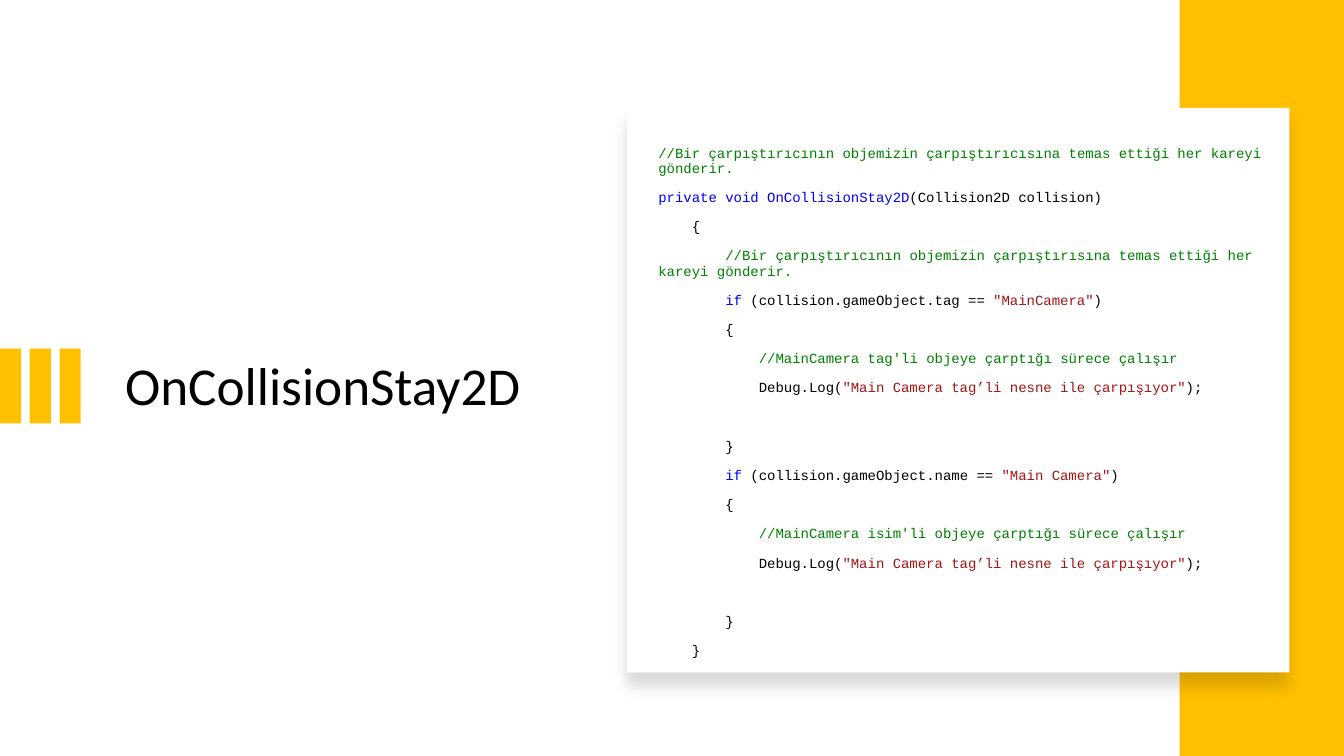
from dataclasses import dataclass

from lxml import etree
from pptx import Presentation
from pptx import util as u
from pptx.dml.color import RGBColor
from pptx.enum import shapes, text
from pptx.oxml.ns import qn

GOLD, WHITE, BLACK = "FFC000", "FFFFFF", "000000"
GREEN, BLUE, RED = "008000", "0000FF", "A31515"


@dataclass
class Token:
    text: str
    color: str = BLACK


@dataclass
class CodeLine:
    indent: int
    tokens: list[Token]
    space_before: int = 10


@dataclass
class Box:
    left: float
    top: float
    width: float
    height: float
    color: str


def rgb(color: str) -> RGBColor:
    return RGBColor.from_string(color)


def add_box(parent, box: Box):
    shape = parent.add_shape(
        shapes.MSO_SHAPE.RECTANGLE,
        u.Inches(box.left), u.Inches(box.top), u.Inches(box.width), u.Inches(box.height))
    shape.fill.solid()
    shape.fill.fore_color.rgb = rgb(box.color)
    shape.line.fill.background()
    shape.shadow.inherit = False
    return shape


def add_shadow(shape) -> None:
    effects = shape.element.spPr.find(qn("a:effectLst"))
    shadow = etree.SubElement(
        effects, qn("a:outerShdw"), blurRad=str(u.Pt(11)), dist=str(u.Pt(10)),
        dir="5400000", algn="t", rotWithShape="0")
    color = etree.SubElement(shadow, qn("a:srgbClr"), val=BLACK)
    etree.SubElement(color, qn("a:alpha"), val="15000")


def place(shape, left: float, top: float, width: float, height: float) -> None:
    shape.left, shape.top = u.Inches(left), u.Inches(top)
    shape.width, shape.height = u.Inches(width), u.Inches(height)


def format_run(run, font_name: str, size: int, color: str) -> None:
    run.font.name = font_name
    run.font.size = u.Pt(size)
    run.font.color.rgb = rgb(color)


def if_block(member: str, value: str, comment: str) -> list[CodeLine]:
    return [
        CodeLine(8, [Token("if", BLUE), Token(f" (collision.gameObject.{member} == "),
                     Token(f'"{value}"', RED), Token(")")]),
        CodeLine(8, [Token("{")]),
        CodeLine(12, [Token(comment, GREEN)]),
        CodeLine(12, [Token("Debug.Log("),
                      Token('"Main Camera tag’li nesne ile çarpışıyor"', RED), Token(");")]),
        CodeLine(8, [Token("}")], space_before=31),
    ]


def write_code(frame, lines: list[CodeLine]) -> None:
    for index, line in enumerate(lines):
        paragraph = frame.paragraphs[0] if index == 0 else frame.add_paragraph()
        properties = paragraph._p.get_or_add_pPr()
        properties.set("marL", "0")
        properties.set("indent", "0")
        etree.SubElement(properties, qn("a:buNone"))
        paragraph.alignment = text.PP_ALIGN.LEFT
        paragraph.line_spacing = 0.9
        paragraph.space_before = u.Pt(line.space_before if index else 0)
        for position, token in enumerate(line.tokens):
            run = paragraph.add_run()
            run.text = (" " * line.indent if position == 0 else "") + token.text
            format_run(run, "Courier New", 10, token.color)


def main() -> None:
    presentation = Presentation()
    presentation.slide_width, presentation.slide_height = u.Inches(13.33), u.Inches(7.5)
    slide = presentation.slides.add_slide(presentation.slide_layouts[1])

    # Title
    title = slide.shapes.title
    place(title, 1.14, 1.46, 4.26, 4.79)
    title.text_frame.text = "OnCollisionStay2D"
    title.text_frame.auto_size = text.MSO_AUTO_SIZE.NONE
    title.text_frame.vertical_anchor = text.MSO_ANCHOR.MIDDLE
    heading = title.text_frame.paragraphs[0]
    heading.alignment = text.PP_ALIGN.LEFT
    heading.line_spacing = 0.9
    format_run(heading.runs[0], "Calibri", 38, BLACK)

    # Accent bars, side band and code card
    bars = slide.shapes.add_group_shape()
    for index in range(3):
        add_box(bars.shapes, Box(index * 0.59 / 2, 3.46, 0.21, 0.74, GOLD))
    add_box(slide.shapes, Box(11.7, 0, 1.63, 7.5, GOLD))
    add_shadow(add_box(slide.shapes, Box(6.22, 1.07, 6.57, 5.6, WHITE)))

    # Code, in front of the card
    body = slide.placeholders[1]
    place(body, 6.43, 1.07, 6.19, 5.51)
    body.element.getparent().append(body.element)
    frame = body.text_frame
    frame.auto_size = text.MSO_AUTO_SIZE.NONE
    frame.vertical_anchor = text.MSO_ANCHOR.TOP
    frame.margin_top = u.Inches(0.38)
    write_code(frame, [
        CodeLine(0, [Token("//Bir çarpıştırıcının objemizin çarpıştırıcısına temas ettiği "
                           "her kareyi gönderir.", GREEN)]),
        CodeLine(0, [Token("private void OnCollisionStay2D", BLUE),
                     Token("(Collision2D collision)")]),
        CodeLine(4, [Token("{")]),
        CodeLine(8, [Token("//Bir çarpıştırıcının objemizin çarpıştırısına temas ettiği "
                           "her kareyi gönderir.", GREEN)]),
        *if_block("tag", "MainCamera", "//MainCamera tag'li objeye çarptığı sürece çalışır"),
        *if_block("name", "Main Camera", "//MainCamera isim'li objeye çarptığı sürece çalışır"),
        CodeLine(4, [Token("}")]),
    ])

    presentation.save("out.pptx")


if __name__ == "__main__":
    main()
